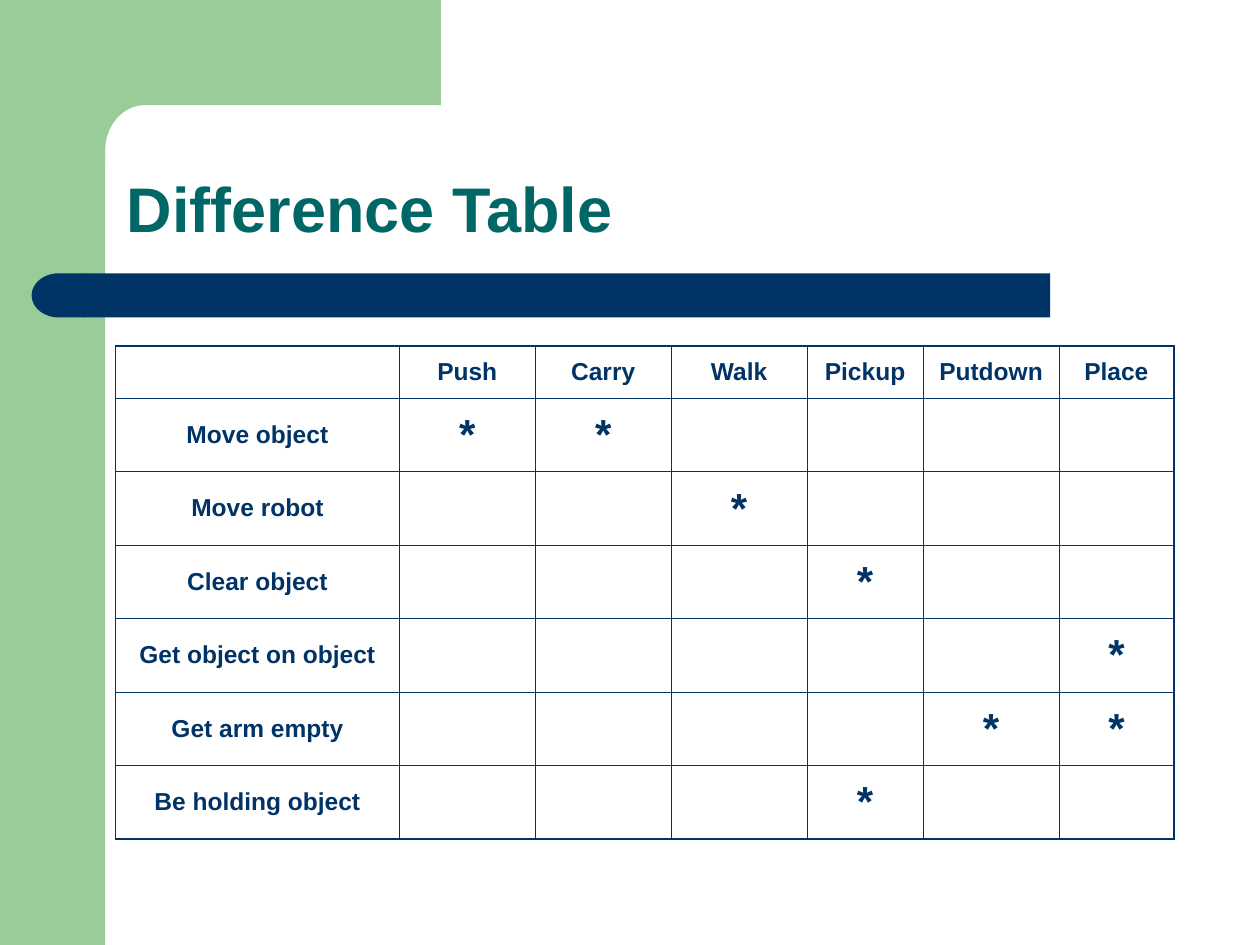
from math import cos, pi, sin

from lxml.etree import SubElement
from pptx import Presentation
from pptx.dml.color import RGBColor as Color
from pptx.enum.shapes import MSO_SHAPE as Preset
from pptx.enum.text import MSO_ANCHOR as Anchor, PP_ALIGN as Align
from pptx.oxml.ns import qn
from pptx.util import Cm, Pt

TITLE = "Difference Table"
OPERATORS = ["Push", "Carry", "Walk", "Pickup", "Putdown", "Place"]
DIFFERENCES = {
    "Move object": ["Push", "Carry"],
    "Move robot": ["Walk"],
    "Clear object": ["Pickup"],
    "Get object on object": ["Place"],
    "Get arm empty": ["Putdown", "Place"],
    "Be holding object": ["Pickup"],
}
COLUMN_WIDTHS = [5.72, 2.74, 2.74, 2.74, 2.34, 2.74, 2.31]
ROW_HEIGHTS = [1.05] + [1.48] * len(DIFFERENCES)
THEME = {
    "font": "Arial",
    "green": "99CC99",
    "navy": "003366",
    "teal": "006666",
    "title": 36,
    "label": 14,
    "mark": 24,
    "outer": 1.08,
    "inner": 0.45,
}


def apply_format(target, values):
    for name, value in values.items():
        setattr(target, name, value)


def paint(shape, color):
    shape.shadow.inherit = False
    shape.fill.solid()
    shape.fill.fore_color.rgb = Color.from_string(THEME[color])
    shape.line.fill.background()


def add_block(slide, preset, box, color):
    shape = slide.shapes.add_shape(preset, *map(Cm, box))
    paint(shape, color)
    return shape


def add_corner(slide):
    left, right, bottom = 1.27, 8.89, 3.25
    inner_left, inner_top, radius_x, radius_y = 2.12, 2.12, 0.8, 0.92
    steps = 16
    angles = [pi / 2 * step / steps for step in range(steps + 1)]
    curve = [
        (inner_left + radius_x * (1 - sin(angle)), inner_top + radius_y * (1 - cos(angle)))
        for angle in angles
    ]
    points = [(right, inner_top), *curve, (inner_left, bottom), (left, bottom), (left, 0)]
    builder = slide.shapes.build_freeform(Cm(right), 0)
    builder.add_line_segments([(Cm(x), Cm(y)) for x, y in points], close=True)
    paint(builder.convert_to_shape(), "green")


def write(paragraph, text, size, color):
    run = paragraph.add_run()
    run.text = text
    apply_format(run.font, {"name": THEME["font"], "size": Pt(THEME[size]), "bold": True})
    run.font.color.rgb = Color.from_string(THEME[color])


def add_title(slide):
    box = slide.shapes.add_textbox(Cm(2.31), Cm(2.31), Cm(21.62), Cm(2.77))
    apply_format(box.text_frame, {"word_wrap": True, "vertical_anchor": Anchor.BOTTOM})
    paragraph = box.text_frame.paragraphs[0]
    paragraph.line_spacing = 0.9
    write(paragraph, TITLE, "title", "teal")


def add_borders(cell, outer_edges):
    properties = cell._tc.get_or_add_tcPr()
    for edge, is_outer in outer_edges.items():
        width = Pt(THEME["outer" if is_outer else "inner"])
        line = SubElement(properties, qn(f"a:ln{edge}"), w=str(width))
        fill = SubElement(line, qn("a:solidFill"))
        SubElement(fill, qn("a:srgbClr"), val=THEME["navy"])


def add_difference_table(slide):
    rows = [["", *OPERATORS]] + [
        [difference] + ["*" if operator in matches else "" for operator in OPERATORS]
        for difference, matches in DIFFERENCES.items()
    ]
    last_row, last_column = len(rows) - 1, len(OPERATORS)
    frame = slide.shapes.add_table(
        len(rows), len(COLUMN_WIDTHS), Cm(2.33), Cm(6.98),
        Cm(sum(COLUMN_WIDTHS)), Cm(sum(ROW_HEIGHTS)),
    )
    table = frame.table
    apply_format(table, {"first_row": False, "horz_banding": False})
    for column, width in zip(table.columns, COLUMN_WIDTHS):
        column.width = Cm(width)
    for row, height in zip(table.rows, ROW_HEIGHTS):
        row.height = Cm(height)
    for y, texts in enumerate(rows):
        for x, text in enumerate(texts):
            cell = table.cell(y, x)
            add_borders(cell, {"L": x == 0, "R": x == last_column, "T": y == 0, "B": y == last_row})
            cell.fill.background()
            cell.vertical_anchor = Anchor.MIDDLE
            if text:
                paragraph = cell.text_frame.paragraphs[0]
                paragraph.alignment = Align.CENTER
                write(paragraph, text, "mark" if text == "*" else "label", "navy")


def main():
    presentation = Presentation()
    apply_format(presentation, {"slide_width": Cm(25.4), "slide_height": Cm(19.05)})
    slide = presentation.slides.add_slide(presentation.slide_layouts[6])
    add_block(slide, Preset.RECTANGLE, (0, 0, 2.12, 19.05), "green")
    add_corner(slide)
    bar = add_block(slide, Preset.ROUNDED_RECTANGLE, (1.7, 5.51, 19.47, 0.89), "navy")
    bar.adjustments[0] = 0
    cap = add_block(slide, Preset.FLOWCHART_DELAY, (0.64, 5.51, 1.09, 0.89), "navy")
    cap._element.spPr.xfrm.set("flipH", "1")
    add_title(slide)
    add_difference_table(slide)
    presentation.save("out.pptx")


if __name__ == "__main__":
    main()
